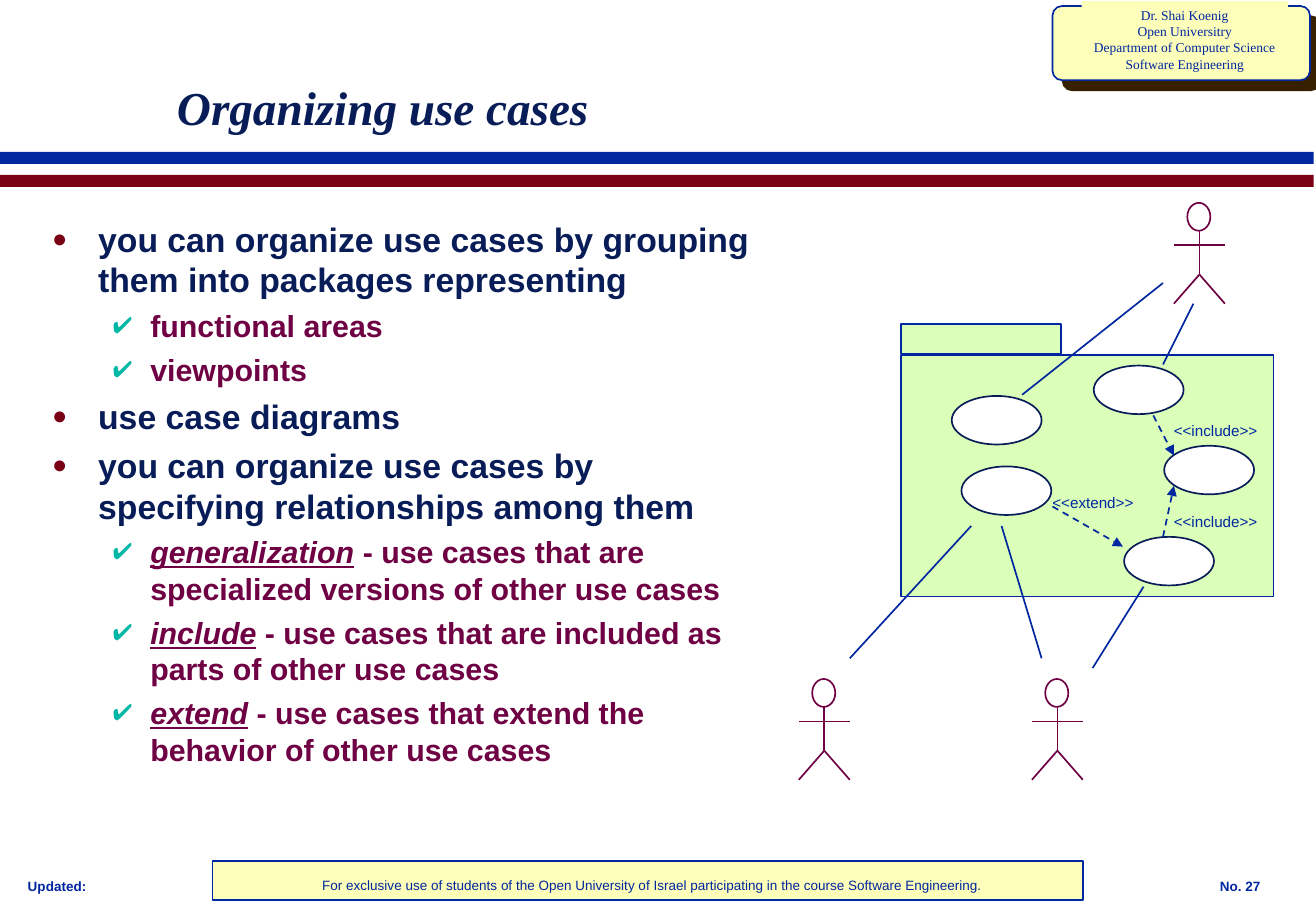
from lxml import etree
from pptx import Presentation
from pptx.dml.color import RGBColor
from pptx.enum.dml import MSO_LINE
from pptx.enum.shapes import MSO_CONNECTOR, MSO_SHAPE
from pptx.enum.text import MSO_ANCHOR, PP_ALIGN
from pptx.oxml.ns import qn
from pptx.util import Inches, Pt

BLUE = RGBColor(0x00, 0x27, 0x9F)
NAVY = RGBColor(0x08, 0x1D, 0x58)
RED = RGBColor(0x79, 0x00, 0x15)
PLUM = RGBColor(0x6E, 0x00, 0x43)
TEAL = RGBColor(0x00, 0xB7, 0xA5)
CREAM = RGBColor(0xFC, 0xFE, 0xB9)
GREEN = RGBColor(0xDB, 0xFF, 0xB8)
BROWN = RGBColor(0x37, 0x20, 0x00)
WHITE = RGBColor(0xFF, 0xFF, 0xFF)

# (level, emphasised term, text)
POINTS = [
    (0, "", "you can organize use cases by grouping them into packages representing"),
    (1, "", "functional areas"),
    (1, "", "viewpoints"),
    (0, "", "use case diagrams"),
    (0, "", "you can organize use cases by specifying relationships among them"),
    (1, "generalization", " - use cases that are specialized versions of other use cases"),
    (1, "include", " - use cases that are included as parts of other use cases"),
    (1, "extend", " - use cases that extend the behavior of other use cases"),
]
# Per level: size, colour, space before, left margin, hanging, bullet, bullet colour
LEVELS = [
    (20, NAVY, 5, 0.38, 0.38, "●", RED),
    (18, PLUM, 4.5, 0.81, 0.31, "✔", TEAL),
]
USE_CASES = [(7.84, 3.26), (7.92, 3.84), (9.59, 3.67), (9.01, 3.01), (9.26, 4.42)]
ACTORS = [(6.79, 5.59), (8.71, 5.59), (9.88, 1.67)]
ASSOCIATIONS = [
    (7, 5.42, 8, 4.33), (9, 5.5, 9.42, 4.83), (8.25, 4.33, 8.58, 5.42),
    (9.58, 2.33, 8.42, 3.25), (9.83, 2.5, 9.58, 3),
]
DEPENDENCIES = [(9.5, 3.42, 9.67, 3.75), (9.58, 4.42, 9.67, 4), (8.67, 4.17, 9.25, 4.5)]
STEREOTYPES = [("<<include>>", 9.57, 3.42), ("<<include>>", 9.57, 4.17),
               ("<<extend>>", 8.57, 4.01)]


def add_block(slide, kind, left, top, width, height, fill, line=None):
    block = slide.shapes.add_shape(
        kind, Inches(left), Inches(top), Inches(width), Inches(height))
    block.shadow.inherit = False
    block.fill.solid()
    block.fill.fore_color.rgb = fill
    if line is None:
        block.line.fill.background()
    else:
        block.line.color.rgb = line
        block.line.width = Pt(1)
    return block


def add_line(slide, x1, y1, x2, y2, color, dashed_arrow=False):
    line = slide.shapes.add_connector(
        MSO_CONNECTOR.STRAIGHT, Inches(x1), Inches(y1), Inches(x2), Inches(y2))
    line.line.color.rgb = color
    line.line.width = Pt(1)
    properties = line._element.spPr
    if dashed_arrow:
        line.line.dash_style = MSO_LINE.DASH
        etree.SubElement(properties.find(qn("a:ln")), qn("a:tailEnd"), type="triangle")
    etree.SubElement(properties, qn("a:effectLst"))


def style(paragraph, size, color, name="Arial", bold=False, italic=False):
    font = paragraph.font
    font.size = Pt(size)
    font.name = name
    font.color.rgb = color
    font.bold = bold
    font.italic = italic


def add_frame(slide, left, top, width, height, wrap=True):
    frame = slide.shapes.add_textbox(
        Inches(left), Inches(top), Inches(width), Inches(height)).text_frame
    frame.word_wrap = wrap
    return frame


def add_text(slide, lines, left, top, width, height, size, color, wrap=True,
             align=PP_ALIGN.LEFT, anchor=MSO_ANCHOR.TOP, **look):
    frame = add_frame(slide, left, top, width, height, wrap)
    frame.vertical_anchor = anchor
    frame.text = lines
    for paragraph in frame.paragraphs:
        paragraph.alignment = align
        style(paragraph, size, color, **look)


def add_bullet(paragraph, margin, hanging, char, color):
    properties = paragraph._p.get_or_add_pPr()
    properties.set("marL", str(Inches(margin)))
    properties.set("indent", str(-Inches(hanging)))
    bullet_color = etree.SubElement(properties, qn("a:buClr"))
    etree.SubElement(bullet_color, qn("a:srgbClr"), val=str(color))
    etree.SubElement(properties, qn("a:buSzPct"), val="75000")
    etree.SubElement(properties, qn("a:buFont"), typeface="Arial")
    etree.SubElement(properties, qn("a:buChar"), char=char)


def add_points(slide):
    frame = add_frame(slide, 0.33, 1.75, 6.08, 5)
    for index, (level, term, text) in enumerate(POINTS):
        size, color, before, margin, hanging, char, bullet_color = LEVELS[level]
        paragraph = frame.add_paragraph() if index else frame.paragraphs[0]
        paragraph.level = level
        if index:
            paragraph.space_before = Pt(before)
        add_bullet(paragraph, margin, hanging, char, bullet_color)
        style(paragraph, size, color, bold=True)
        if term:
            run = paragraph.add_run()
            run.text = term
            run.font.italic = True
            run.font.underline = True
        paragraph.add_run().text = text


def add_actor(slide, center, top):
    add_block(slide, MSO_SHAPE.OVAL, center - 0.1, top, 0.19, 0.23, WHITE, PLUM)
    hip, foot, arm = top + 0.59, top + 0.83, top + 0.35
    add_line(slide, center, top + 0.23, center, hip, PLUM)
    for side in (-0.21, 0.21):
        add_line(slide, center, hip, center + side, foot, PLUM)
    add_line(slide, center - 0.21, arm, center + 0.21, arm, PLUM)


def add_course_card(slide):
    card = add_block(slide, MSO_SHAPE.ROUNDED_RECTANGLE, 8.67, 0.05, 2.12, 0.61, CREAM, BLUE)
    card.adjustments[0] = 0.125
    effects = card._element.spPr.find(qn("a:effectLst"))
    shadow = etree.SubElement(effects, qn("a:outerShdw"), blurRad="0",
                              dist=str(Pt(8.5)), dir="2700000", algn="ctr", rotWithShape="0")
    etree.SubElement(shadow, qn("a:srgbClr"), val=str(BROWN))
    add_block(slide, MSO_SHAPE.RECTANGLE, 8.91, 0.01, 1.7, 0.63, CREAM)
    add_text(slide, "Dr. Shai Koenig\nOpen Universitry\nDepartment of Computer Science\n"
             "Software Engineering", 8.91, 0.01, 1.7, 0.63, 8, BLUE, wrap=False,
             align=PP_ALIGN.CENTER, name="Times New Roman")


def add_footer(slide):
    add_block(slide, MSO_SHAPE.RECTANGLE, 1.75, 7.09, 7.17, 0.32, CREAM, BLUE)
    add_text(slide, "Updated:", 0.13, 7.18, 1.15, 0.23, 8, BLUE, bold=True)
    add_text(slide, "No. 27", 9.95, 7.18, 0.85, 0.23, 8, BLUE, bold=True)
    add_text(slide, "For exclusive use of students of the Open University of Israel "
             "participating in the course Software Engineering.",
             1.75, 7.17, 7.25, 0.24, 8, BLUE, align=PP_ALIGN.CENTER)


def add_diagram(slide):
    # Package with its tab
    add_block(slide, MSO_SHAPE.RECTANGLE, 7.42, 2.92, 3.07, 1.99, GREEN, BLUE)
    add_block(slide, MSO_SHAPE.RECTANGLE, 7.42, 2.67, 1.32, 0.24, GREEN, BLUE)
    for left, top in USE_CASES:
        add_block(slide, MSO_SHAPE.OVAL, left, top, 0.74, 0.4, WHITE, NAVY)
    for center, top in ACTORS:
        add_actor(slide, center, top)
    # Relationships
    for ends in ASSOCIATIONS:
        add_line(slide, *ends, BLUE)
    for ends in DEPENDENCIES:
        add_line(slide, *ends, BLUE, dashed_arrow=True)
    for label, left, top in STEREOTYPES:
        add_text(slide, label, left, top, 0.89, 0.25, 9, BLUE, wrap=False)


def main():
    deck = Presentation()
    deck.slide_width, deck.slide_height = Inches(10.84), Inches(7.5)
    slide = deck.slides.add_slide(deck.slide_layouts[6])

    # Header and footer
    for top, color in ((1.25, BLUE), (1.44, RED)):
        add_block(slide, MSO_SHAPE.RECTANGLE, 0, top, 10.82, 0.1, color)
    add_course_card(slide)
    add_footer(slide)

    # Content
    add_text(slide, "Organizing use cases", 1.36, 0.5, 8.5, 0.75, 28, NAVY,
             anchor=MSO_ANCHOR.MIDDLE, name="Times New Roman", bold=True, italic=True)
    add_points(slide)
    add_diagram(slide)
    deck.save("out.pptx")


if __name__ == "__main__":
    main()
